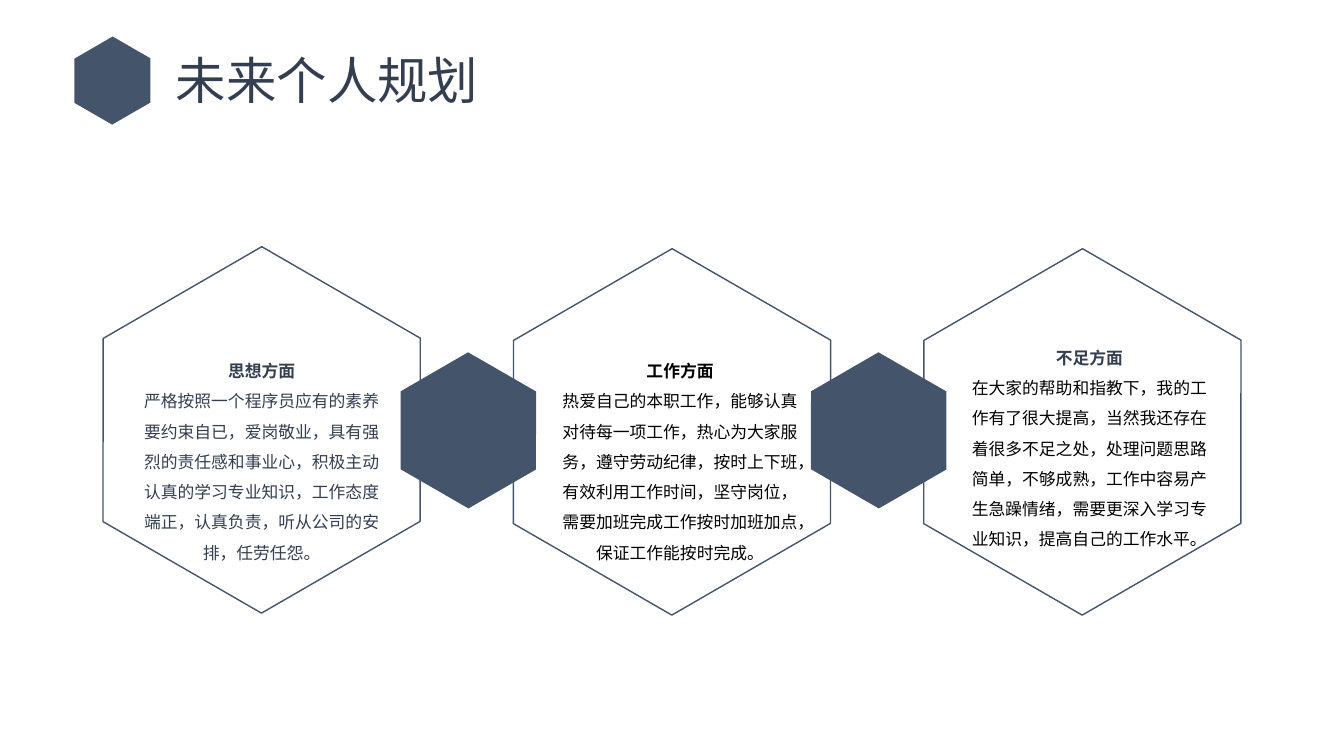
import pptx
import pptx.dml.color
import pptx.enum.shapes
import pptx.enum.text
import pptx.oxml.ns
import pptx.util
from lxml import etree

THEME = {
    "slate": pptx.dml.color.RGBColor.from_string("44546A"),
    "ink": pptx.dml.color.RGBColor.from_string("333F50"),
    "black": pptx.dml.color.RGBColor.from_string("000000"),
    "title_size": pptx.util.Pt(36),
    "body_size": pptx.util.Pt(12),
    "outline": pptx.util.Pt(1),
    "chinese_font": "Noto Sans CJK SC",
}
COLUMN_LEFT, COLUMN_PITCH = 0.78, 4.07
CARD_WIDTH, CARD_HEIGHT = 3.63, 3.15
LINK_WIDTH, LINK_HEIGHT = 1.55, 1.34
TEXT_WIDTH, TEXT_HEIGHT = 2.69, 2.19

presentation = pptx.Presentation()
presentation.slide_width = pptx.util.Inches(13.33)
presentation.slide_height = pptx.util.Inches(7.5)
slide = presentation.slides.add_slide(presentation.slide_layouts[6])


def add_hexagon(left, top, width, height, filled):
    """Add a hexagon turned to stand on a corner, either solid or outlined."""
    shape = slide.shapes.add_shape(
        pptx.enum.shapes.MSO_SHAPE.HEXAGON,
        *(pptx.util.Inches(length) for length in (left, top, width, height)))
    shape.adjustments[0] = 0.288
    shape.rotation = 30
    shape.shadow.inherit = False
    if filled:
        shape.fill.solid()
        shape.fill.fore_color.rgb = THEME["slate"]
        shape.line.fill.background()
    else:
        shape.fill.background()
        shape.line.color.rgb = THEME["slate"]
        shape.line.width = THEME["outline"]


def add_text(left, top, width, height, size, line_spacing, paragraphs):
    """Add centred paragraphs, each given as (text, font, colour, bold)."""
    text_frame = slide.shapes.add_textbox(
        *(pptx.util.Inches(length) for length in (left, top, width, height))).text_frame
    text_frame.word_wrap = True
    text_frame.auto_size = pptx.enum.text.MSO_AUTO_SIZE.SHAPE_TO_FIT_TEXT
    text_frame.text = "\n".join(text for text, *_ in paragraphs)
    for paragraph, (_, font_name, colour, bold) in zip(text_frame.paragraphs, paragraphs):
        paragraph.alignment = pptx.enum.text.PP_ALIGN.CENTER
        paragraph.line_spacing = line_spacing
        run = paragraph.runs[0]
        run.font.size = size
        run.font.bold = bold
        run.font.color.rgb = THEME[colour]
        run.font.name = font_name
        east_asian = etree.SubElement(run.font._element, pptx.oxml.ns.qn("a:ea"))
        east_asian.set("typeface", THEME["chinese_font"])


# Outlined cards, one per column, then the solid links between them
for column, card_top in enumerate((2.69, 2.71, 2.71)):
    add_hexagon(COLUMN_LEFT + column * COLUMN_PITCH, card_top, CARD_WIDTH, CARD_HEIGHT, False)
for gap in range(2):
    add_hexagon(3.87 + gap * COLUMN_PITCH, 3.6, LINK_WIDTH, LINK_HEIGHT, True)

# Heading
add_hexagon(0.68, 0.42, 0.87, 0.76, True)
add_text(1.53, 0.44, 3.43, 0.98, THEME["title_size"], 1.0,
         [("未来个人规划", "Calibri", "ink", False)])

# Card texts: left, top, heading and body
cards = [
    (1.25, 3.43,
     ("思想方面", "Noto Sans CJK SC", "ink", True),
     ("严格按照一个程序员应有的素养要约束自已，爱岗敬业，具有强烈的责任感和事业心，"
      "积极主动认真的学习专业知识，工作态度端正，认真负责，听从公司的安排，任劳任怨。",
      "Calibri", "ink", False)),
    (5.4, 3.43,
     ("工作方面", "Roboto", "black", True),
     ("热爱自己的本职工作，能够认真对待每一项工作，热心为大家服务，遵守劳动纪律，"
      "按时上下班，有效利用工作时间，坚守岗位，需要加班完成工作按时加班加点，"
      "保证工作能按时完成。",
      "Roboto", "black", False)),
    (9.46, 3.3,
     ("不足方面", "Noto Sans CJK SC", "ink", True),
     ("在大家的帮助和指教下，我的工作有了很大提高，当然我还存在着很多不足之处，"
      "处理问题思路简单，不够成熟，工作中容易产生急躁情绪，需要更深入学习专业知识，"
      "提高自己的工作水平。",
      "Roboto", "black", False)),
]
for left, top, heading, body in cards:
    add_text(left, top, TEXT_WIDTH, TEXT_HEIGHT, THEME["body_size"], 1.5, [heading, body])

presentation.save("out.pptx")
